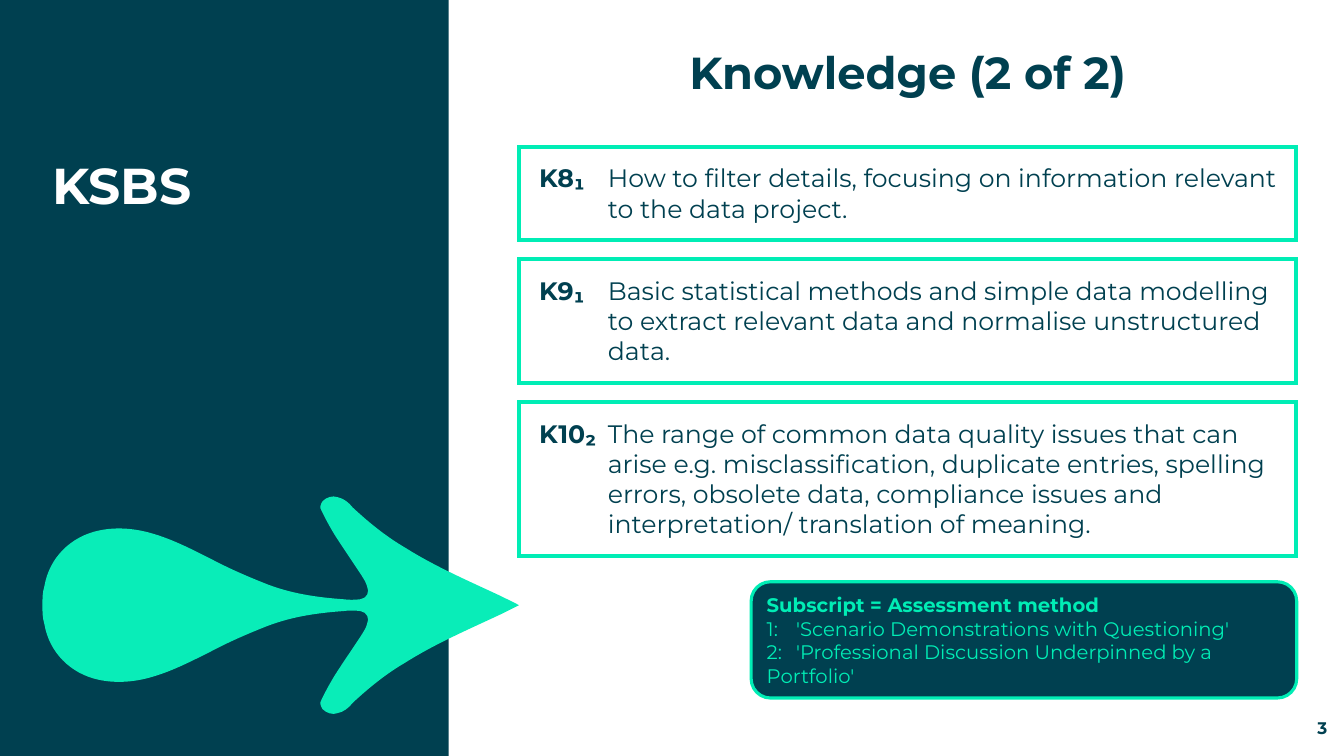
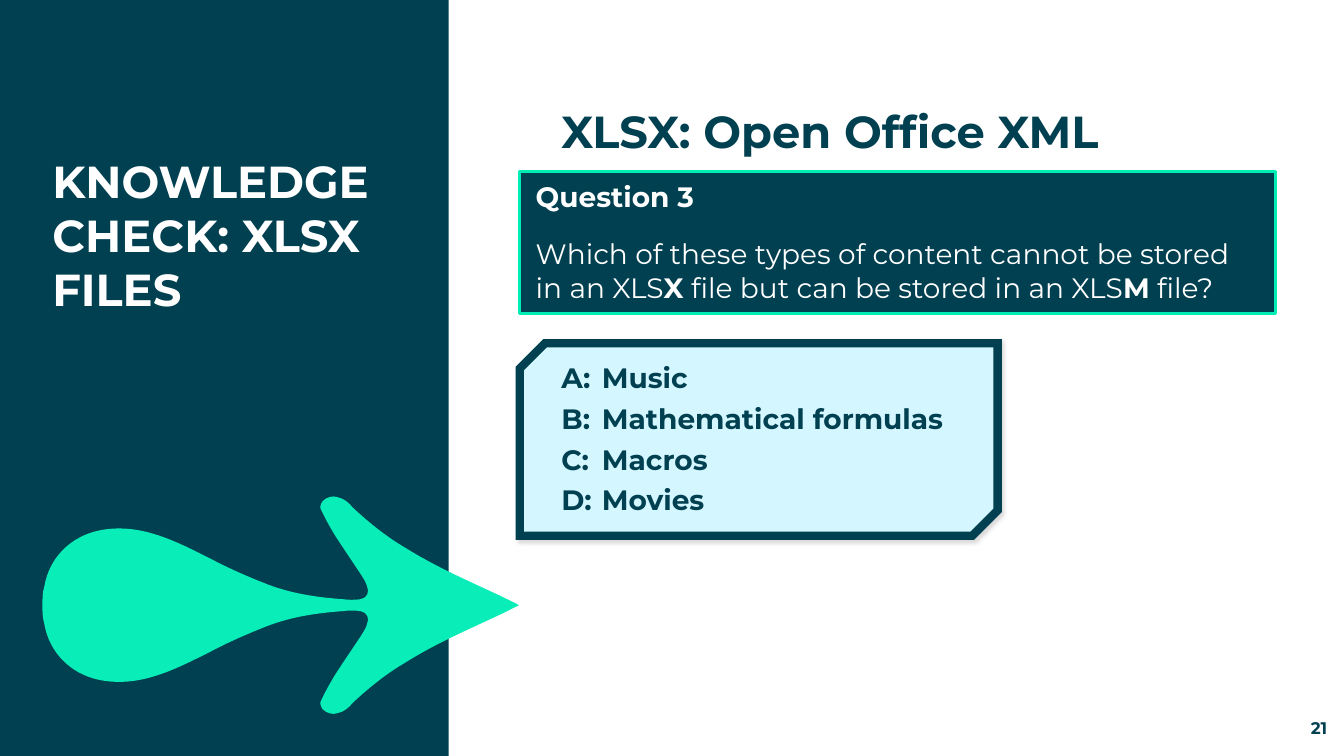
from dataclasses import dataclass
from typing import NamedTuple

from lxml.etree import SubElement
from pptx import Presentation
from pptx.dml.color import RGBColor
from pptx.enum.shapes import MSO_SHAPE
from pptx.enum.text import MSO_ANCHOR, PP_ALIGN
from pptx.oxml.ns import qn
from pptx.util import Cm, Pt

FONT = "Montserrat"
TEAL = RGBColor(0x00, 0x40, 0x50)
MINT = RGBColor(0x00, 0xED, 0xB5)
ARROW_MINT = RGBColor(0x09, 0xED, 0xB8)
ICE = RGBColor(0xD4, 0xF6, 0xFF)
WHITE = RGBColor(0xFF, 0xFF, 0xFF)

CONTENT_LEFT = 13.09
CONTENT_WIDTH = 19.58
DEFAULT_INSETS = (0.25, 0.13, 0.25, 0.13)

ARROW_AXIS = 15.25
ARROW_TIP = (13.08, 0)
ARROW_CURVES = [
    ((12.93, 0.08), (12.78, 0.15), (12.62, 0.23)),
    ((11.81, 0.61), (10.97, 0.97), (10.21, 1.45)),
    ((9.73, 1.73), (9.3, 2.08), (8.89, 2.46)),
    ((8.79, 2.59), (8.66, 2.69), (8.51, 2.72)),
    ((8.38, 2.77), (8.23, 2.72), (8.13, 2.62)),
    ((8.08, 2.54), (8.05, 2.46), (8.1, 2.39)),
    ((8.2, 2.18), (8.31, 1.98), (8.43, 1.78)),
    ((8.66, 1.42), (8.89, 1.09), (9.12, 0.74)),
    ((9.17, 0.66), (9.22, 0.58), (9.25, 0.48)),
    ((9.32, 0.33), (9.25, 0.18), (9.09, 0.15)),
    ((8.94, 0.13), (8.79, 0.13), (8.64, 0.15)),
    ((7.95, 0.2), (7.29, 0.3), (6.65, 0.56)),
    ((6.2, 0.74), (5.74, 0.94), (5.31, 1.17)),
    ((4.85, 1.4), (4.37, 1.65), (3.86, 1.8)),
    ((3.43, 1.93), (2.95, 1.98), (2.49, 1.88)),
    ((1.78, 1.73), (1.24, 1.19), (1.12, 0.48)),
    ((1.07, 0.32), (1.07, 0.16), (1.07, 0)),
]


class Box(NamedTuple):
    left: float
    top: float
    width: float
    height: float

    def lengths(self):
        return [Cm(value) for value in self]


class Span(NamedTuple):
    text: str
    bold: bool = False


@dataclass
class TextStyle:
    size: float
    color: RGBColor
    align: PP_ALIGN = PP_ALIGN.LEFT
    anchor: MSO_ANCHOR = MSO_ANCHOR.TOP
    insets: tuple = DEFAULT_INSETS
    line_spacing: float | None = None
    space_before: float = 0
    space_after: float = 0
    margin: float = 0
    hanging: float = 0
    tab: float | None = None


@dataclass
class Criterion:
    code: str
    description: str
    lines: int


CRITERIA = [
    Criterion("K8₁", "How to filter details, focusing on information relevant to the data project.", 2),
    Criterion("K9₁", "Basic statistical methods and simple data modelling to extract relevant data "
              "and normalise unstructured data.", 3),
    Criterion("K10₂", "The range of common data quality issues that can arise e.g. misclassification, "
              "duplicate entries, spelling errors, obsolete data, compliance issues and "
              "interpretation/ translation of meaning.", 4),
]
ANSWERS = ["Music", "Mathematical formulas", "Macros", "Movies"]

HEADING_STYLE = TextStyle(32, TEAL, PP_ALIGN.CENTER, MSO_ANCHOR.MIDDLE, line_spacing=42)
NUMBER_STYLE = TextStyle(12, TEAL, PP_ALIGN.RIGHT, MSO_ANCHOR.BOTTOM, (0, 0, 0, 0))
CRITERION_STYLE = TextStyle(18, TEAL, insets=(0.5, 0.4, 0.4, 0.4), margin=1.73, hanging=1.73)
METHOD_STYLE = TextStyle(14, MINT, anchor=MSO_ANCHOR.BOTTOM, tab=0.74)
QUESTION_STYLE = TextStyle(20, WHITE, insets=(0.4, 0.2, 0.4, 0.2), space_before=17)
ANSWER_STYLE = TextStyle(20, TEAL, space_after=5, margin=1.5, hanging=1.02)


def write_text(shape, paragraphs: list[list[Span]], style: TextStyle) -> None:
    frame = shape.text_frame
    frame.word_wrap = True
    frame.vertical_anchor = style.anchor
    (frame.margin_left, frame.margin_top,
     frame.margin_right, frame.margin_bottom) = [Cm(inset) for inset in style.insets]
    for index, spans in enumerate(paragraphs):
        paragraph = frame.add_paragraph() if index else frame.paragraphs[0]
        paragraph.alignment = style.align
        if style.line_spacing:
            paragraph.line_spacing = Pt(style.line_spacing)
        if style.space_before and index:
            paragraph.space_before = Pt(style.space_before)
        if style.space_after:
            paragraph.space_after = Pt(style.space_after)
        properties = paragraph._p.get_or_add_pPr()
        if style.margin:
            properties.set("marL", str(Cm(style.margin)))
            properties.set("indent", str(-Cm(style.hanging)))
        if style.tab:
            tabs = SubElement(properties, qn("a:tabLst"))
            SubElement(tabs, qn("a:tab"), pos=str(Cm(style.tab)), algn="l")
        for span in spans:
            run = paragraph.add_run()
            run.text = span.text
            run.font.name = FONT
            run.font.size = Pt(style.size)
            run.font.bold = span.bold
            run.font.color.rgb = style.color


def add_label(slide, box: Box, text: str, style: TextStyle) -> None:
    write_text(slide.shapes.add_textbox(*box.lengths()), [[Span(text, True)]], style)


def paint(shape, fill: RGBColor, line: RGBColor | None = None, weight: float = 0) -> None:
    shape.shadow.inherit = False
    shape.fill.solid()
    shape.fill.fore_color.rgb = fill
    if line is None:
        shape.line.fill.background()
    else:
        shape.line.color.rgb = line
        shape.line.width = Pt(weight)


def add_panel(slide, kind: MSO_SHAPE, box: Box, fill: RGBColor,
              line: RGBColor | None = None, weight: float = 0):
    shape = slide.shapes.add_shape(kind, *box.lengths())
    paint(shape, fill, line, weight)
    return shape


def sharpen_corners(shape) -> None:
    SubElement(shape.line._get_or_add_ln(), qn("a:miter"), lim="800000")


def add_arrow(slide) -> None:
    starts = [ARROW_TIP] + [curve[-1] for curve in ARROW_CURVES[:-1]]
    mirrored = [tuple((x, -y) for x, y in (second, first, start))
                for start, (first, second, _) in zip(starts, ARROW_CURVES)]
    curves = [[(Cm(x), Cm(ARROW_AXIS + y)) for x, y in curve]
              for curve in ARROW_CURVES + mirrored[::-1]]
    builder = slide.shapes.build_freeform(Cm(ARROW_TIP[0]), Cm(ARROW_AXIS))
    builder.add_line_segments([curve[-1] for curve in curves], close=True)
    arrow = builder.convert_to_shape()
    paint(arrow, ARROW_MINT)
    segments = list(arrow._element.iter(qn("a:lnTo")))
    for segment, curve in zip(segments, curves):
        segment.tag = qn("a:cubicBezTo")
        segment.remove(segment[0])
        for x, y in curve:
            SubElement(segment, qn("a:pt"), x=str(x - arrow.left), y=str(y - arrow.top))


def add_base_slide(presentation, section: str, section_size: float, number: int,
                   heading: str, heading_left: float, heading_top: float):
    slide = presentation.slides.add_slide(presentation.slide_layouts[6])
    add_panel(slide, MSO_SHAPE.RECTANGLE, Box(0, 0, 11.31, 19.05), TEAL)
    add_arrow(slide)
    add_label(slide, Box(1.07, 3.75, 9.58, 7.65), section, TextStyle(section_size, WHITE))
    add_label(slide, Box(31.27, 18.08, 2.18, 0.51), str(number), NUMBER_STYLE)
    add_label(slide, Box(heading_left, heading_top, CONTENT_WIDTH, 2.95), heading, HEADING_STYLE)
    return slide


def add_soft_shadow(shape) -> None:
    effects = shape._element.spPr.find(qn("a:effectLst"))
    shadow = SubElement(effects, qn("a:outerShdw"), blurRad=str(Pt(3)), dist=str(Pt(2)),
                        dir="2700000", algn="tl", rotWithShape="0")
    color = SubElement(shadow, qn("a:srgbClr"), val="000000")
    SubElement(color, qn("a:alpha"), val="15000")


def add_knowledge_slide(presentation) -> None:
    slide = add_base_slide(presentation, "KSBS", 36, 3, "Knowledge (2 of 2)", CONTENT_LEFT, 0.26)
    top = 3.7
    for criterion in CRITERIA:
        height = 0.81 + 0.77 * criterion.lines
        card = add_panel(slide, MSO_SHAPE.RECTANGLE,
                         Box(CONTENT_LEFT, top, CONTENT_WIDTH, height), WHITE, MINT, 3)
        sharpen_corners(card)
        write_text(card, [[Span(criterion.code + "\t", True), Span(criterion.description)]],
                   CRITERION_STYLE)
        top += height + 0.48
    methods = add_panel(slide, MSO_SHAPE.ROUNDED_RECTANGLE,
                        Box(18.93, 14.66, 13.75, 2.93), TEAL, MINT, 2.25)
    write_text(methods, [
        [Span("Subscript = Assessment method", True)],
        [Span("1:\t'Scenario Demonstrations with Questioning'")],
        [Span("2:\t'Professional Discussion Underpinned by a Portfolio'")],
    ], METHOD_STYLE)


def add_question_slide(presentation) -> None:
    slide = add_base_slide(presentation, "KNOWLEDGE CHECK: XLSX FILES", 32, 21,
                           "XLSX: Open Office XML", 11.13, 1.75)
    question = add_panel(slide, MSO_SHAPE.RECTANGLE,
                         Box(13.1, 4.32, 19.05, 3.58), TEAL, MINT, 2.25)
    write_text(question, [
        [Span("Question 3", True)],
        [Span("Which of these types of content cannot be stored in an XLS"), Span("X", True),
         Span(" file but can be stored in an XLS"), Span("M", True), Span(" file?")],
    ], QUESTION_STYLE)
    answers = add_panel(slide, MSO_SHAPE.SNIP_2_DIAG_RECTANGLE,
                        Box(13.1, 8.65, 12.04, 4.85), ICE, TEAL, 6)
    answers.adjustments[0] = 0.131
    answers.adjustments[1] = 0
    sharpen_corners(answers)
    add_soft_shadow(answers)
    write_text(answers, [[Span(f"{letter}:\t{answer}", True)]
                         for letter, answer in zip("ABCD", ANSWERS)], ANSWER_STYLE)


def main() -> None:
    presentation = Presentation()
    presentation.slide_width = Cm(33.87)
    presentation.slide_height = Cm(19.05)
    add_knowledge_slide(presentation)
    add_question_slide(presentation)
    presentation.save("out.pptx")


if __name__ == "__main__":
    main()
